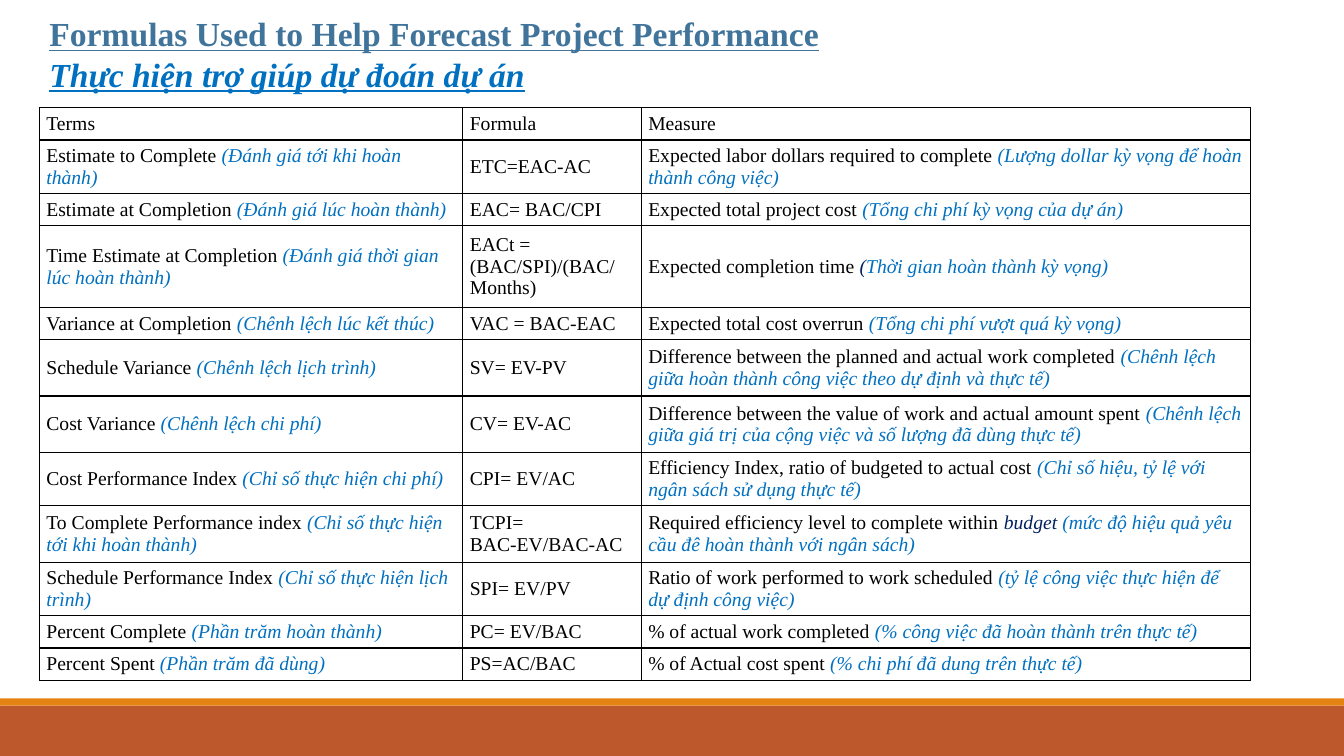
"""Build the slide of project forecast formulas."""
import pptx
import pptx.dml.color
import pptx.enum.shapes
import pptx.enum.text
import pptx.oxml
import pptx.oxml.ns
import pptx.util

Inches = pptx.util.Inches
Pt = pptx.util.Pt
INK = {"text": "000000", "viet": "0070C0", "navy": "002060", "head": "40749B",
       "rust": "BD582C", "gold": "E48312"}
COLS = [4.2, 1.77, 6.04]
ROWS = [0.32, 0.53, 0.32, 0.81, 0.32, 0.56, 0.56, 0.53, 0.56, 0.53, 0.32, 0.32]
DATA = [
    ("Terms", "", "Formula", "Measure", "", ""),
    ("Estimate to Complete ", "(Đánh giá tới khi hoàn thành)", "ETC=EAC-AC",
     "Expected labor dollars required to complete ", "",
     "(Lượng dollar kỳ vọng để hoàn thành công việc)"),
    ("Estimate at Completion ", "(Đánh giá lúc hoàn thành)", "EAC= BAC/CPI",
     "Expected total project cost ", "", "(Tổng chi phí kỳ vọng của dự án)"),
    ("Time Estimate at Completion ", "(Đánh giá thời gian lúc hoàn thành)",
     "EACt =\n(BAC/SPI)/(BAC/\nMonths)",
     "Expected completion time ", "(", "Thời gian hoàn thành kỳ vọng)"),
    ("Variance at Completion ", "(Chênh lệch lúc kết thúc)", "VAC = BAC-EAC",
     "Expected total cost overrun ", "", "(Tổng chi phí vượt quá kỳ vọng)"),
    ("Schedule Variance ", "(Chênh lệch lịch trình)", "SV= EV-PV",
     "Difference between the planned and actual work completed ", "",
     "(Chênh lệch giữa hoàn thành công việc theo dự định và thực tế)"),
    ("Cost Variance ", "(Chênh lệch chi phí)", "CV= EV-AC",
     "Difference between the value of work and actual amount spent ", "",
     "(Chênh lệch giữa giá trị của cộng việc và số lượng đã dùng thực tế)"),
    ("Cost Performance Index ", "(Chỉ số thực hiện chi phí)", "CPI= EV/AC",
     "Efficiency Index, ratio of budgeted to actual cost ", "",
     "(Chỉ số hiệu, tỷ lệ với ngân sách sử dụng thực tế)"),
    ("To Complete Performance index ", "(Chỉ số thực hiện tới khi hoàn thành)",
     "TCPI=\nBAC-EV/BAC-AC",
     "Required efficiency level to complete within ", "budget ",
     "(mức độ hiệu quả yêu cầu đê hoàn thành với ngân sách)"),
    ("Schedule Performance Index ", "(Chỉ số thực hiện lịch trình)", "SPI= EV/PV",
     "Ratio of work performed to work scheduled ", "",
     "(tỷ lệ công việc thực hiện để dự định công việc)"),
    ("Percent Complete ", "(Phần trăm hoàn thành)", "PC= EV/BAC",
     "% of actual work completed ", "", "(% công việc đã hoàn thành trên thực tế)"),
    ("Percent Spent ", "(Phần trăm đã dùng)", "PS=AC/BAC",
     "% of Actual cost spent ", "", "(% chi phí đã dung trên thực tế)"),
]


class Deck:
    def __init__(self):
        self.font = "Times New Roman"
        self.show = pptx.Presentation()
        self.show.slide_width = Inches(13.33)
        self.show.slide_height = Inches(7.5)
        self.slide = self.show.slides.add_slide(self.show.slide_layouts[5])

    def tint(self, name):
        return pptx.dml.color.RGBColor.from_string(INK[name])

    def put(self, para, text, ink, size=14, slant=False, head=False):
        for i, line in enumerate(text.split("\n")):
            if i:
                para.add_line_break()
            run = para.add_run()
            run.text = line
            font = run.font
            font.name, font.size = self.font, Pt(size)
            font.color.rgb = self.tint(ink)
            font.italic, font.bold, font.underline = slant, head, head

    def band(self, top, high, ink):
        kind = pptx.enum.shapes.MSO_SHAPE.RECTANGLE
        bar = self.slide.shapes.add_shape(
            kind, 0, Inches(top), self.show.slide_width, Inches(high))
        bar.shadow.inherit = False
        bar.fill.solid()
        bar.fill.fore_color.rgb = self.tint(ink)
        bar.line.fill.background()

    def title(self, box, lines):
        shape = self.slide.shapes.title
        shape.left, shape.top, shape.width, shape.height = map(Inches, box)
        frame = shape.text_frame
        frame.word_wrap = True
        frame.auto_size = pptx.enum.text.MSO_AUTO_SIZE.NONE
        frame.vertical_anchor = pptx.enum.text.MSO_ANCHOR.TOP
        for i, (text, ink, slant) in enumerate(lines):
            para = frame.add_paragraph() if i else frame.paragraphs[0]
            para.alignment = pptx.enum.text.PP_ALIGN.LEFT
            para.space_before = Pt(0)
            self.put(para, text, ink, 24, slant, True)

    def edge(self, cell):
        props = cell._tc.get_or_add_tcPr()
        space = pptx.oxml.ns.nsdecls("a")
        for i, side in enumerate("LRTB"):
            props.insert(i, pptx.oxml.parse_xml(
                f'<a:ln{side} {space} w="12700"><a:solidFill>'
                f'<a:srgbClr val="{INK["text"]}"/></a:solidFill></a:ln{side}>'))

    def cell(self, cell, runs):
        cell.fill.background()
        self.edge(cell)
        cell.vertical_anchor = pptx.enum.text.MSO_ANCHOR.MIDDLE
        cell.margin_left = cell.margin_right = Inches(0.07)
        cell.margin_top = cell.margin_bottom = Inches(0.03)
        for text, ink in runs:
            if text:
                self.put(cell.text_frame.paragraphs[0], text, ink,
                         slant=ink != "text")

    def table(self, left, top, cols, rows, data):
        grid = self.slide.shapes.add_table(
            len(rows), len(cols), Inches(left), Inches(top),
            Inches(sum(cols)), Inches(sum(rows))).table
        grid.first_row = grid.horz_banding = False
        for col, wide in zip(grid.columns, cols):
            col.width = Inches(wide)
        for row, high, item in zip(grid.rows, rows, data):
            row.height = Inches(high)
            term, gloss, rule, gauge, navy, note = item
            parts = ([(term, "text"), (gloss, "viet")], [(rule, "text")],
                     [(gauge, "text"), (navy, "navy"), (note, "viet")])
            for cell, runs in zip(row.cells, parts):
                self.cell(cell, runs)


def main():
    deck = Deck()
    deck.band(7, 0.5, "rust")
    deck.band(6.93, 0.07, "gold")
    deck.table(0.39, 1.07, COLS, ROWS, DATA)
    deck.title((0.39, 0.08, 8.1, 0.91), [
        ("Formulas Used to Help Forecast Project Performance", "head", False),
        ("Thực hiện trợ giúp dự đoán dự án", "viet", True)])
    deck.show.save("out.pptx")


if __name__ == "__main__":
    main()
